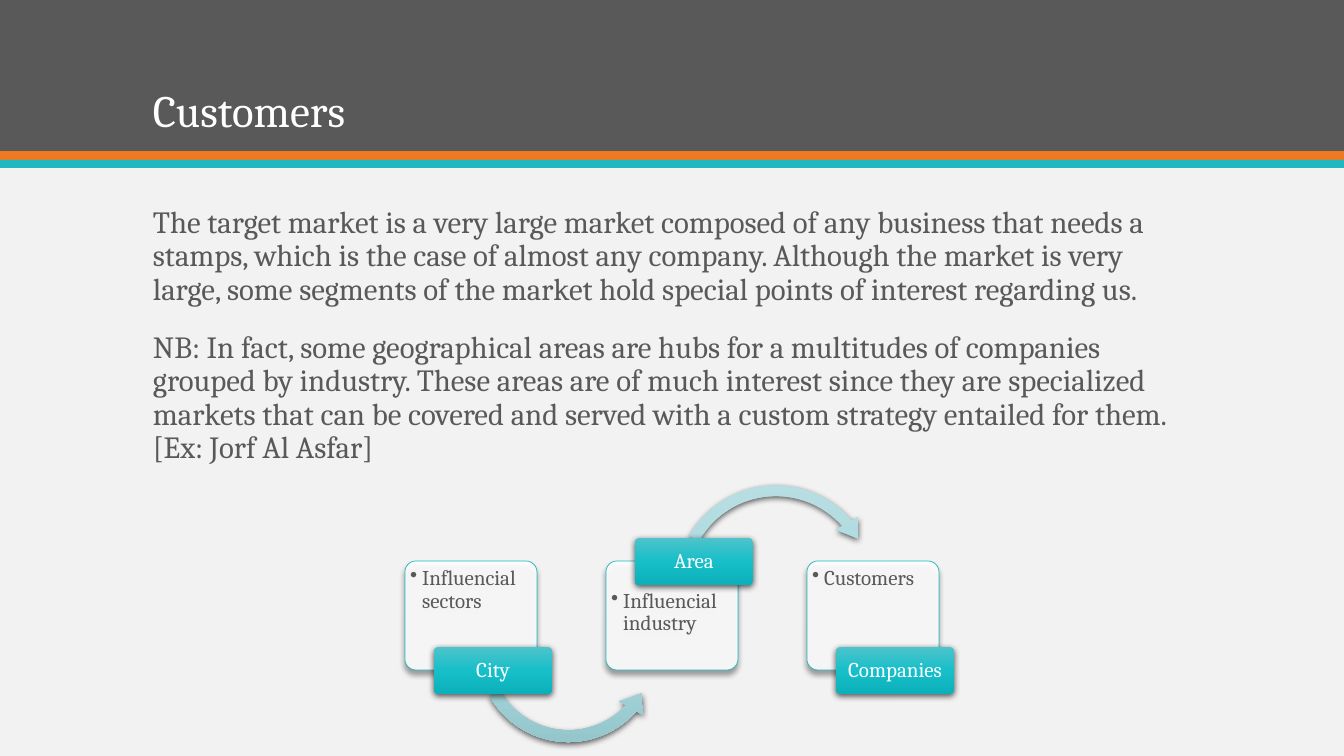
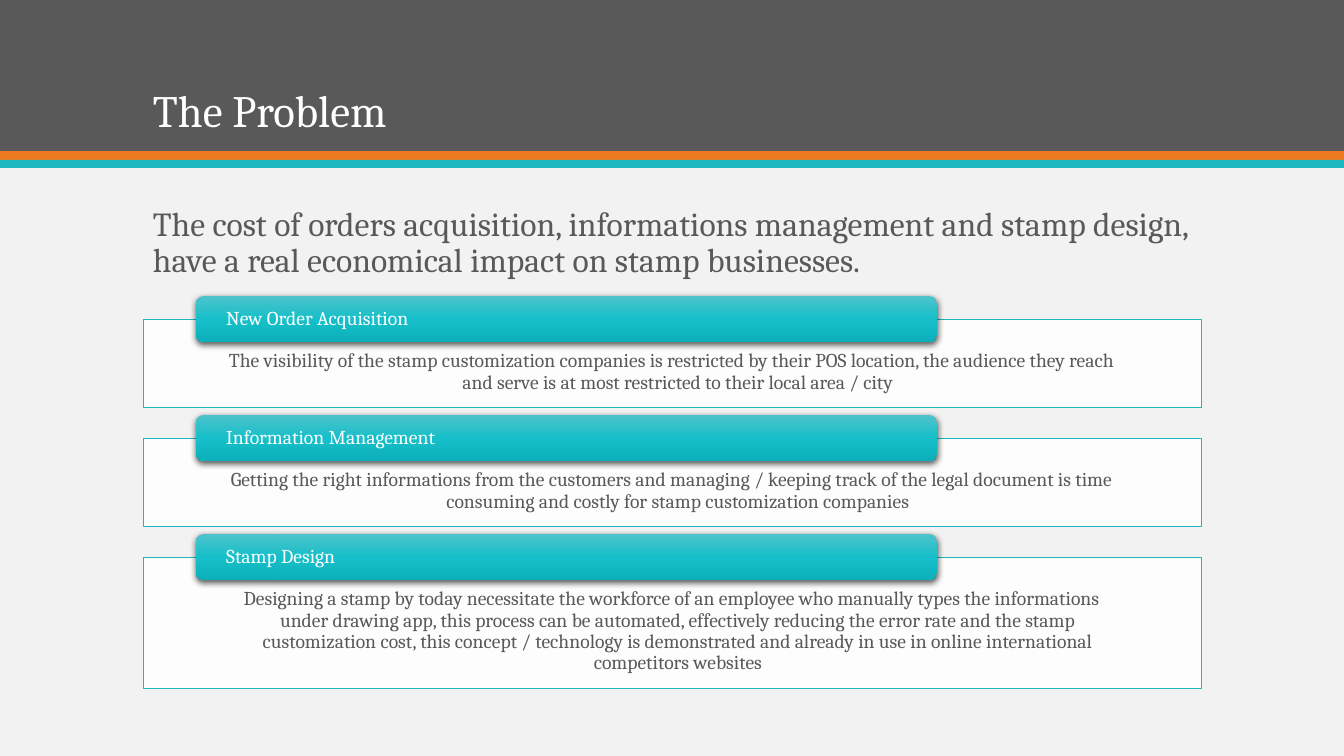
from pptx import Presentation
from pptx.dml.color import RGBColor
from pptx.enum.shapes import MSO_SHAPE
from pptx.enum.text import MSO_ANCHOR, MSO_AUTO_SIZE, PP_ALIGN
from pptx.oxml import parse_xml
from pptx.oxml.ns import nsdecls, qn
from pptx.util import Pt

RECT, ROUNDED = MSO_SHAPE.RECTANGLE, MSO_SHAPE.ROUNDED_RECTANGLE
ARC, LEFT_ARC = MSO_SHAPE.CIRCULAR_ARROW, MSO_SHAPE.LEFT_CIRCULAR_ARROW
LEFT, CENTER = PP_ALIGN.LEFT, PP_ALIGN.CENTER
TOP, MIDDLE, BOTTOM = MSO_ANCHOR.TOP, MSO_ANCHOR.MIDDLE, MSO_ANCHOR.BOTTOM
NO_FIT = MSO_AUTO_SIZE.NONE

# Style
EMU_PER_PX = 914400 / 100.8
FONT = "Cambria"
WHITE, PAPER, GRAY = "FFFFFF", "F2F2F2", "595959"
ORANGE, TEAL = "EF7920", "1EB8C1"
LABEL_GRADIENT = ("4EC3CB", "16BFC9", "0CB0BA")
ARROW_GRADIENT = ("B7DEE2", "AADADF", "93C4C9")
DEEP_SHADOW = (63, 4.5, 1.5)    # opacity %, blur pt, distance pt
SOFT_SHADOW = (40, 4, 3)
MARGIN_X, CONTENT_W = 143, 1058
BODY_Y = 202


def px(length):
    return round(length * EMU_PER_PX)


def rgb(value):
    return RGBColor.from_string(value)


def write(frame, *texts, size, color=GRAY, align=LEFT, anchor=TOP, before=0,
          hanging=0, bullet=None, margins=(10, 5, 10, 5)):
    """Fill a text frame; margins are left, top, right, bottom in px."""
    frame.word_wrap = True
    frame.auto_size = NO_FIT
    frame.vertical_anchor = anchor
    (frame.margin_left, frame.margin_top,
     frame.margin_right, frame.margin_bottom) = map(px, margins)
    for index, text in enumerate(texts):
        paragraph = frame.add_paragraph() if index else frame.paragraphs[0]
        paragraph.alignment = align
        paragraph.line_spacing = 0.9
        paragraph.space_before = Pt(before)
        properties = paragraph._p.get_or_add_pPr()
        properties.set("marL", str(px(hanging)))
        properties.set("indent", str(-px(hanging)))
        mark = f'buChar {nsdecls("a")} char="{bullet}"' if bullet else f'buNone {nsdecls("a")}'
        properties.append(parse_xml(f"<a:{mark}/>"))
        run = paragraph.add_run()
        run.text = text
        run.font.name = FONT
        run.font.size = Pt(size)
        run.font.color.rgb = rgb(color)


class Deck:
    def __init__(self):
        self.prs = Presentation()
        self.prs.slide_width, self.prs.slide_height = px(1344), px(756)
        background = self.prs.slide_master.background.fill
        background.solid()
        background.fore_color.rgb = rgb(PAPER)
        self.layout = self.prs.slide_layouts[1]
        title, body, *footers = self.layout.placeholders
        self.place(title, 28, 114)
        self.place(body, BODY_Y, 479)
        for footer in footers:
            footer.element.getparent().remove(footer.element)
        self.slide = None

    def place(self, placeholder, y, height):
        placeholder.left, placeholder.top = px(MARGIN_X), px(y)
        placeholder.width, placeholder.height = px(CONTENT_W), px(height)

    def start_slide(self, title, *body, size, body_height):
        self.slide = self.prs.slides.add_slide(self.layout)
        heading, content = self.slide.placeholders
        write(heading.text_frame, title, size=32, color=WHITE, anchor=BOTTOM)
        self.place(content, BODY_Y, body_height)
        write(content.text_frame, *body, size=size, before=18)

    def share_bands(self):
        """Draw the top bands and move them behind the layout's placeholders."""
        bands = ((0, 151, GRAY), (151, 9, ORANGE), (160, 8, TEAL))
        for index, (y, height, color) in enumerate(bands):
            band = self.shape(RECT, 0, y, 1344, height, fill=color)
            self.layout.shapes.element.insert(2 + index, band.element)

    def shape(self, kind, x, y, width, height, *, fill=None, gradient=None,
              opacity=100, line=None, shadow=None, adjust=()):
        shape = self.slide.shapes.add_shape(kind, px(x), px(y), px(width), px(height))
        for index, value in enumerate(adjust):
            shape.adjustments[index] = value
        properties = shape.element.spPr
        if gradient:
            stops = "".join(f'<a:gs pos="{index * 50000}"><a:srgbClr val="{color}"/></a:gs>'
                            for index, color in enumerate(gradient))
            shape.fill.background()
            properties.replace(properties.find(qn("a:noFill")), parse_xml(
                f'<a:gradFill {nsdecls("a")} rotWithShape="1"><a:gsLst>{stops}</a:gsLst>'
                '<a:lin ang="5400000" scaled="0"/></a:gradFill>'))
        else:
            shape.fill.solid()
            shape.fill.fore_color.rgb = rgb(fill)
            if opacity < 100:
                properties.find(qn("a:solidFill"))[0].append(parse_xml(
                    f'<a:alpha {nsdecls("a")} val="{opacity * 1000}"/>'))
        if line:
            shape.line.color.rgb = rgb(line)
            shape.line.width = Pt(0.5)
        else:
            shape.line.fill.background()
        shape.shadow.inherit = False
        if shadow:
            alpha, blur, distance = shadow
            properties.find(qn("a:effectLst")).append(parse_xml(
                f'<a:outerShdw {nsdecls("a")} blurRad="{Pt(blur)}" dist="{Pt(distance)}" '
                'dir="5400000" rotWithShape="0"><a:srgbClr val="000000">'
                f'<a:alpha val="{alpha * 1000}"/></a:srgbClr></a:outerShdw>'))
        return shape

    def panel(self, kind, x, y, width, height, text, *, shadow=None, adjust=(), **style):
        panel = self.shape(kind, x, y, width, height, fill=WHITE, opacity=90,
                           line=TEAL, shadow=shadow, adjust=adjust)
        write(panel.text_frame, text, hanging=12, **style)

    def label(self, x, y, width, height, text, *, adjust=(), **style):
        label = self.shape(ROUNDED, x, y, width, height, gradient=LABEL_GRADIENT,
                           shadow=DEEP_SHADOW, adjust=adjust)
        write(label.text_frame, text, color=WHITE, anchor=MIDDLE, **style)

    def arrow(self, kind, x, y, side, adjust):
        self.shape(kind, x, y, side, side, gradient=ARROW_GRADIENT,
                   shadow=DEEP_SHADOW, adjust=adjust)


def customers(deck):
    deck.start_slide(
        "Customers",
        "The target market is a very large market composed of any business that needs a "
        "stamps, which is the case of almost any company. Although the market is very "
        "large, some segments of the market hold special points of interest regarding us.",
        "NB: In fact, some geographical areas are hubs for a multitudes of companies "
        "grouped by industry. These areas are of much interest since they are specialized "
        "markets that can be covered and served with a custom strategy entailed for them. "
        "[Ex: Jorf Al Asfar]",
        size=22, body_height=479)
    # Process steps: label, card text, label y, card text inset, arrow to next step
    steps = (
        ("City", "Influencial sectors", 647, 3,
         (LEFT_ARC, 470, 553, 197, (0.06, 7.5, 25.25, 90.25, 0.07))),
        ("Area", "Influencial industry", 538, 26,
         (ARC, 669, 478, 214, (0.05, 6.83, 191.42, 125.76, 0.06))),
        ("Companies", "Customers", 647, 3, None),
    )
    for index, (name, detail, label_y, inset, arrow) in enumerate(steps):
        x = 405 + index * 201
        deck.panel(ROUNDED, x, 561, 132, 109, detail, shadow=SOFT_SHADOW, adjust=(0.1,),
                   size=15, bullet="•", margins=(2, inset, 2, 3))
        if arrow:
            deck.arrow(*arrow)
        deck.label(x + 29, label_y, 118, 47, name, adjust=(0.1,),
                   size=15, align=CENTER, margins=(3, 2, 3, 2))


def problem(deck):
    deck.start_slide(
        "The Problem",
        "The cost of orders acquisition, informations management and stamp design, "
        "have a real economical impact on stamp businesses.",
        size=24, body_height=87)
    # Stacked issues: label, explanation, box height
    issues = (
        ("New Order Acquisition",
         "The visibility of the stamp customization companies is restricted by their POS "
         "location, the audience they reach and serve is at most restricted to their local "
         "area / city", 88),
        ("Information Management",
         "Getting the right informations from the customers and managing / keeping track of "
         "the legal document is time consuming and costly for stamp customization companies",
         88),
        ("Stamp Design",
         "Designing a stamp by today necessitate the workforce of an employee who manually "
         "types the informations under drawing app, this process can be automated, "
         "effectively reducing the error rate and the stamp customization cost, this concept "
         "/ technology is demonstrated and already in use in online international "
         "competitors websites", 131),
    )
    y, gap = 319, 31
    for name, explanation, height in issues:
        deck.panel(RECT, MARGIN_X, y, CONTENT_W, height, explanation,
                   size=14, align=CENTER, margins=(82, 32, 82, 11))
        deck.label(196, y - 23, 741, 46, name, size=14, margins=(28, 0, 28, 0))
        y += height + gap


def main():
    deck = Deck()
    customers(deck)
    deck.share_bands()
    problem(deck)
    deck.prs.save("out.pptx")


if __name__ == "__main__":
    main()
